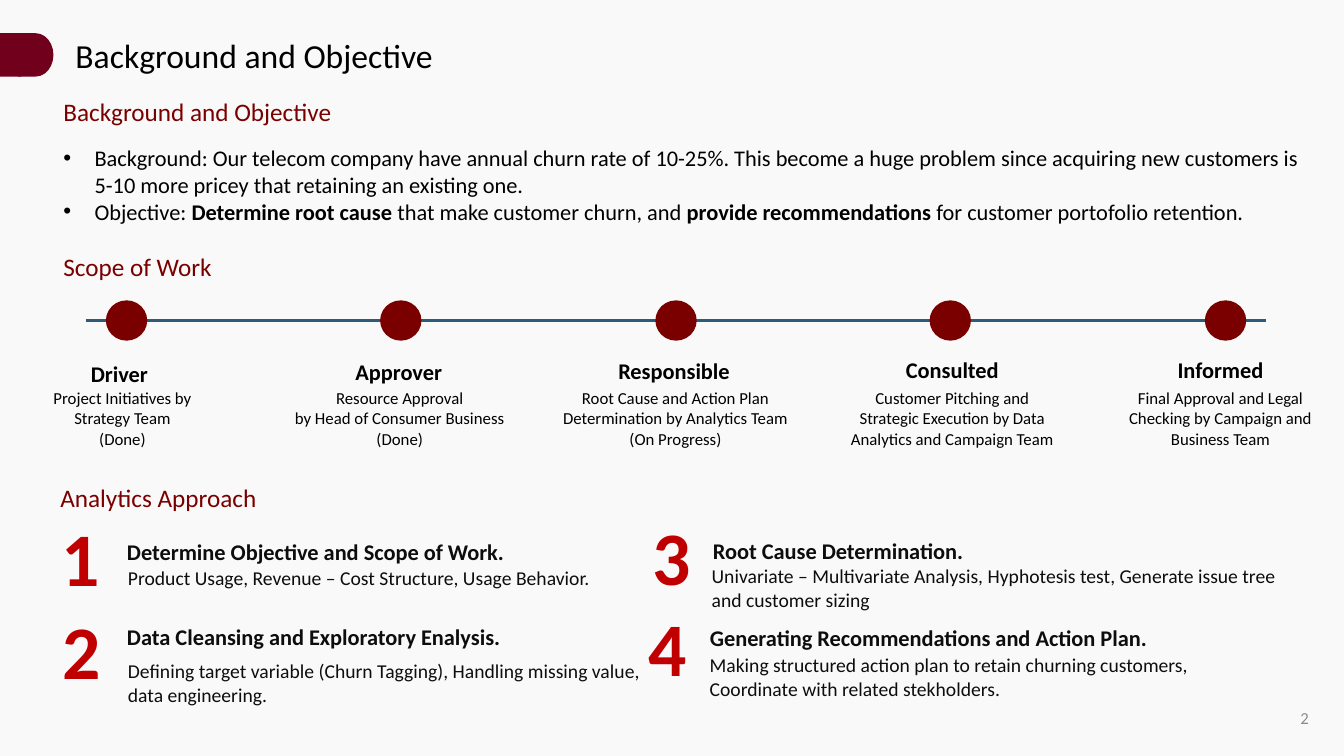
from lxml import etree
from pptx import Presentation
from pptx.dml.color import RGBColor
from pptx.enum.shapes import MSO_CONNECTOR, MSO_SHAPE
from pptx.enum.text import MSO_ANCHOR, PP_ALIGN
from pptx.oxml.ns import qn
from pptx.util import Pt

PX = 9144  # 100 px to the inch
FONT = "Calibri"
BACKGROUND = RGBColor(0xF9, 0xF9, 0xF9)
BLACK = RGBColor(0x00, 0x00, 0x00)
INK = RGBColor(0x0D, 0x0D, 0x0D)
GRAY = RGBColor(0x8C, 0x8C, 0x8C)
MAROON = RGBColor(0x7A, 0x00, 0x00)
TAB_RED = RGBColor(0x71, 0x00, 0x1C)
NUMBER_RED = RGBColor(0xC0, 0x00, 0x00)
LINE_BLUE = RGBColor(0x2F, 0x5A, 0x78)
LEFT, CENTER, RIGHT = PP_ALIGN.LEFT, PP_ALIGN.CENTER, PP_ALIGN.RIGHT
TOP, MIDDLE = MSO_ANCHOR.TOP, MSO_ANCHOR.MIDDLE
OVAL, RECTANGLE = MSO_SHAPE.OVAL, MSO_SHAPE.RECTANGLE
DELAY, STRAIGHT = MSO_SHAPE.FLOWCHART_DELAY, MSO_CONNECTOR.STRAIGHT

deck = Presentation()
deck.slide_width, deck.slide_height = 1333 * PX, 750 * PX
page = deck.slides.add_slide(deck.slide_layouts[6])
page.background.fill.solid()
page.background.fill.fore_color.rgb = BACKGROUND


def add_text(text, place, size, color, bold=False, align=LEFT, anchor=TOP, wrap=True):
    box = page.shapes.add_textbox(*(n * PX for n in place))
    frame = box.text_frame
    frame.word_wrap = wrap
    frame.vertical_anchor = anchor
    frame.text = text
    for para in frame.paragraphs:
        para.alignment = align
        para.font.name = FONT
        para.font.size = Pt(size)
        para.font.bold = bold
        para.font.color.rgb = color
    return frame


def add_solid(kind, place, color):
    shape = page.shapes.add_shape(kind, *(n * PX for n in place))
    shape.shadow.inherit = False
    shape.fill.solid()
    shape.fill.fore_color.rgb = color
    shape.line.fill.background()


# Title with its tab, and page number
add_solid(DELAY, (18, 33, 35, 43), TAB_RED)
add_solid(RECTANGLE, (0, 33, 21, 43), TAB_RED)
add_text("Background and Objective", (65, 30, 378, 50), 24, BLACK, wrap=False)
add_text("2", (1083, 692, 225, 40), 12, GRAY, align=RIGHT, anchor=MIDDLE)

# Section headings
for heading, left, top, width in (
    ("Background and Objective", 53, 91, 295),
    ("Scope of Work", 53, 244, 169),
    ("Analytics Approach", 50, 474, 217),
):
    add_text(heading, (left, top, width, 40), 18, MAROON, wrap=False)

# Background and objective bullets, as (text, bold) spans
bullets = (
    (("Background: Our telecom company have annual churn rate of 10-25%. This become a huge "
      "problem since acquiring new customers is 5-10 more pricey that retaining an existing one.",
      False),),
    (("Objective:", False), (" Determine root cause ", True),
     ("that make customer churn, and ", False), ("provide recommendations ", True),
     ("for customer portofolio retention.", False)),
)
frame = add_text("\n".join("" for spans in bullets), (53, 138, 1249, 91), 16, BLACK)
for para, spans in zip(frame.paragraphs, bullets):
    for text, bold in spans:
        span = para.add_run()
        span.text = text
        span.font.name = FONT
        span.font.size = Pt(16)
        span.font.color.rgb = BLACK
        span.font.bold = bold
    properties = para._p.get_or_add_pPr()
    properties.set("marL", str(31 * PX))
    properties.set("indent", str(-31 * PX))
    bullet_font = etree.Element(qn("a:buFont"), typeface="Arial")
    bullet_mark = etree.Element(qn("a:buChar"), char="•")
    position = 0
    for tag in ("a:lnSpc", "a:spcBef", "a:spcAft"):
        position += properties.find(qn(tag)) is not None
    properties.insert(position, bullet_font)
    properties.insert(position + 1, bullet_mark)

# Scope of work timeline
timeline = page.shapes.add_connector(STRAIGHT, 85 * PX, 318 * PX, 1256 * PX, 318 * PX)
timeline.line.color.rgb = LINE_BLUE
timeline.line.width = Pt(1.5)
etree.SubElement(timeline._element.spPr, qn("a:effectLst"))

# role, its left and top; details, their left and width
stages = (
    ("Driver", 18, 352, "Project Initiatives by Strategy Team\n(Done)", 21, 201),
    ("Approver", 295, 350,
     "Resource Approval\nby Head of Consumer Business\n(Done)", 280, 233),
    ("Responsible", 568, 349,
     "Root Cause and Action Plan\nDetermination by Analytics Team\n(On Progress)", 512, 316),
    ("Consulted", 844, 348,
     "Customer Pitching and Strategic Execution by Data Analytics and Campaign Team", 828, 233),
    ("Informed", 1110, 348,
     "Final Approval and Legal Checking by Campaign and Business Team", 1094, 233),
)
for index, (role, left, top, details, details_left, details_width) in enumerate(stages):
    add_solid(OVAL, (105 + 1090 * index // 4, 298, 41, 40), MAROON)
    add_text(role, (left, top, 201, 37), 16, BLACK, bold=True, align=CENTER)
    add_text(details, (details_left, 380, details_width, 71), 12, BLACK, align=CENTER)

# Analytics approach: number, title and details, each with its place
steps = (
    ("1", (61, 520, 56, 76),
     "Determine Objective and Scope of Work.", (126, 534, 474, 29),
     "Product Usage, Revenue – Cost Structure, Usage Behavior.", (117, 557, 602, 34)),
    ("2", (62, 614, 55, 72),
     "Data Cleansing and Exploratory Enalysis.", (126, 611, 526, 45),
     "Defining target variable (Churn Tagging), Handling missing value, data engineering.",
     (117, 649, 528, 57)),
    ("3", (647, 521, 56, 72),
     "Root Cause Determination.", (707, 530, 499, 36),
     "Univariate – Multivariate Analysis, Hyphotesis test, Generate issue tree "
     "and customer sizing", (696, 555, 605, 57)),
    ("4", (643, 611, 52, 72),
     "Generating Recommendations and Action Plan.", (704, 616, 529, 36),
     "Making structured action plan to retain churning customers, "
     "Coordinate with related stekholders.", (694, 643, 527, 57)),
)
for number, number_place, title, title_place, details, details_place in steps:
    for text, place, size, color in (
        (number, number_place, 54, NUMBER_RED),
        (title, title_place, 16, INK),
    ):
        frame = add_text(text, place, size, color, bold=True, anchor=MIDDLE)
        frame.margin_left = 0
        frame.paragraphs[0].line_spacing = 0.9
        frame.paragraphs[0].space_before = Pt(10)
    add_text(details, details_place, 14, INK)

deck.save("out.pptx")
